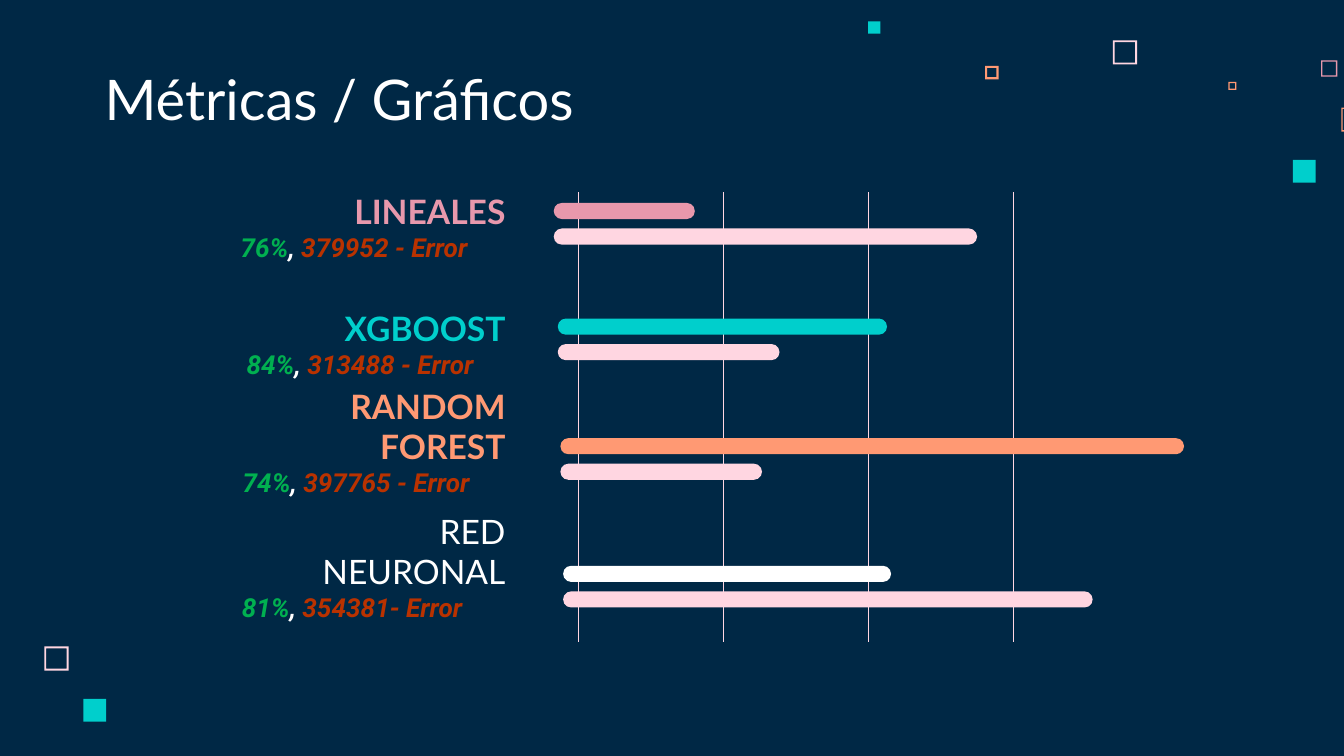
from pptx import Presentation
from pptx.dml.color import RGBColor
from pptx.enum.shapes import MSO_CONNECTOR, MSO_SHAPE
from pptx.enum.text import MSO_ANCHOR, PP_ALIGN
from pptx.oxml.ns import qn
from pptx.util import Inches, Pt
from lxml.etree import SubElement

NAVY = RGBColor(0x00, 0x28, 0x45)
WHITE = RGBColor(0xFF, 0xFF, 0xFF)
PINK = RGBColor(0xFF, 0xD6, 0xE1)
ROSE = RGBColor(0xE8, 0x98, 0xAC)
ORANGE = RGBColor(0xFF, 0x99, 0x73)
TEAL = RGBColor(0x00, 0xCF, 0xCC)
GREEN = RGBColor(0x00, 0xB0, 0x50)
RUST = RGBColor(0xB9, 0x32, 0x00)

# left, top, size, thickness as a share of the size, colour
FRAMES = [
    (8.28, 0.3, 0.18, 0.08, PINK),
    (9.83, 0.45, 0.12, 0.08, ROSE),
    (9.14, 0.61, 0.06, 0.16, ORANGE),
    (9.98, 0.8, 0.18, 0.06, ORANGE),
    (7.33, 0.49, 0.1, 0.15, ORANGE),
    (0.33, 4.81, 0.18, 0.08, PINK),
]
SQUARES = [(9.62, 1.19, 0.17), (6.46, 0.16, 0.09), (0.62, 5.2, 0.17)]

# name, colour, bold, accuracy, error, row top, score left,
# bars left, bars top, accuracy bar width, error bar width
MODELS = [
    ("LINEALES", ROSE, True, "76%", "379952 - Error", 1.39, 1.41, 4.12, 1.51, 1.05, 3.15),
    ("XGBOOST", TEAL, True, "84%", "313488 - Error", 2.26, 1.5, 4.15, 2.37, 2.45, 1.65),
    ("RANDOM FOREST", ORANGE, True, "74%", "397765 - Error", 3.14, 1.44, 4.17, 3.26, 4.64, 1.5),
    ("RED NEURONAL", WHITE, False, "81%", "354381- Error", 4.07, 1.38, 4.19, 4.21, 2.44, 3.94),
]
LABEL_LEFT, LABEL_RIGHT = 1.8, 3.86
SCORE_OFFSET = 0.23
BAR_HEIGHT, BAR_STEP = 0.12, 0.19


def add_filled(shapes, kind, left, top, width, height, color):
    shape = shapes.add_shape(kind, Inches(left), Inches(top), Inches(width), Inches(height))
    shape.shadow.inherit = False
    shape.fill.solid()
    shape.fill.fore_color.rgb = color
    shape.line.fill.background()
    return shape


def add_text(slide, box, pieces, font, size, align=PP_ALIGN.LEFT,
             anchor=MSO_ANCHOR.BOTTOM, bold=False, italic=False):
    """Add one paragraph made of (text, colour) pieces."""
    text_frame = slide.shapes.add_textbox(*map(Inches, box)).text_frame
    text_frame.word_wrap = True
    text_frame.vertical_anchor = anchor
    text_frame.margin_left = text_frame.margin_right = Inches(0.1)
    text_frame.margin_top = text_frame.margin_bottom = Inches(0.1)
    paragraph = text_frame.paragraphs[0]
    paragraph.alignment = align
    for text, color in pieces:
        run = paragraph.add_run()
        run.text = text
        run.font.name = font
        run.font.size = Pt(size)
        run.font.bold = bold
        run.font.italic = italic
        run.font.color.rgb = color


def add_decoration(slide):
    for left, top, size, thickness, color in FRAMES:
        frame = add_filled(slide.shapes, MSO_SHAPE.FRAME, left, top, size, size, color)
        frame.adjustments[0] = thickness
    for left, top, size in SQUARES:
        add_filled(slide.shapes, MSO_SHAPE.RECTANGLE, left, top, size, size, TEAL)


def add_grid(slide, left, top, width, height, count=4):
    for index in range(count):
        x = Inches(left + width * index / (count - 1))
        line = slide.shapes.add_connector(
            MSO_CONNECTOR.STRAIGHT, x, Inches(top), x, Inches(top + height))
        line.line.color.rgb = PINK
        line.line.width = Pt(0.25)
        SubElement(line._element.spPr, qn("a:effectLst"))


def add_bars(slide, left, top, bars):
    group = slide.shapes.add_group_shape()
    for index, (width, color) in enumerate(bars):
        bar = add_filled(group.shapes, MSO_SHAPE.ROUNDED_RECTANGLE,
                         left, top + index * BAR_STEP, width, BAR_HEIGHT, color)
        bar.adjustments[0] = 0.5


def add_model(slide, name, color, bold, accuracy, error, top, score_left,
              bars_left, bars_top, accuracy_width, error_width):
    add_bars(slide, bars_left, bars_top, [(accuracy_width, color), (error_width, PINK)])
    add_text(slide, (LABEL_LEFT, top, LABEL_RIGHT - LABEL_LEFT, 0.43),
             [(name, color)], "Lato", 18, PP_ALIGN.RIGHT, bold=bold)
    add_text(slide, (score_left, top + SCORE_OFFSET, LABEL_RIGHT - score_left, 0.71),
             [(accuracy, GREEN), (", ", WHITE), (error, RUST)], "Roboto", 14,
             PP_ALIGN.CENTER, MSO_ANCHOR.TOP, bold=True, italic=True)


def main():
    presentation = Presentation()
    presentation.slide_width = Inches(10)
    presentation.slide_height = Inches(10 * 9 / 16)
    slide = presentation.slides.add_slide(presentation.slide_layouts[6])
    slide.background.fill.solid()
    slide.background.fill.fore_color.rgb = NAVY

    add_decoration(slide)
    add_text(slide, (0.68, 0.45, 5.17, 0.63), [("Métricas / Gráficos", WHITE)], "Lato", 30)
    add_grid(slide, 4.3, 1.43, 3.24, 3.35)
    for model in MODELS:
        add_model(slide, *model)
    presentation.save("out.pptx")


if __name__ == "__main__":
    main()
